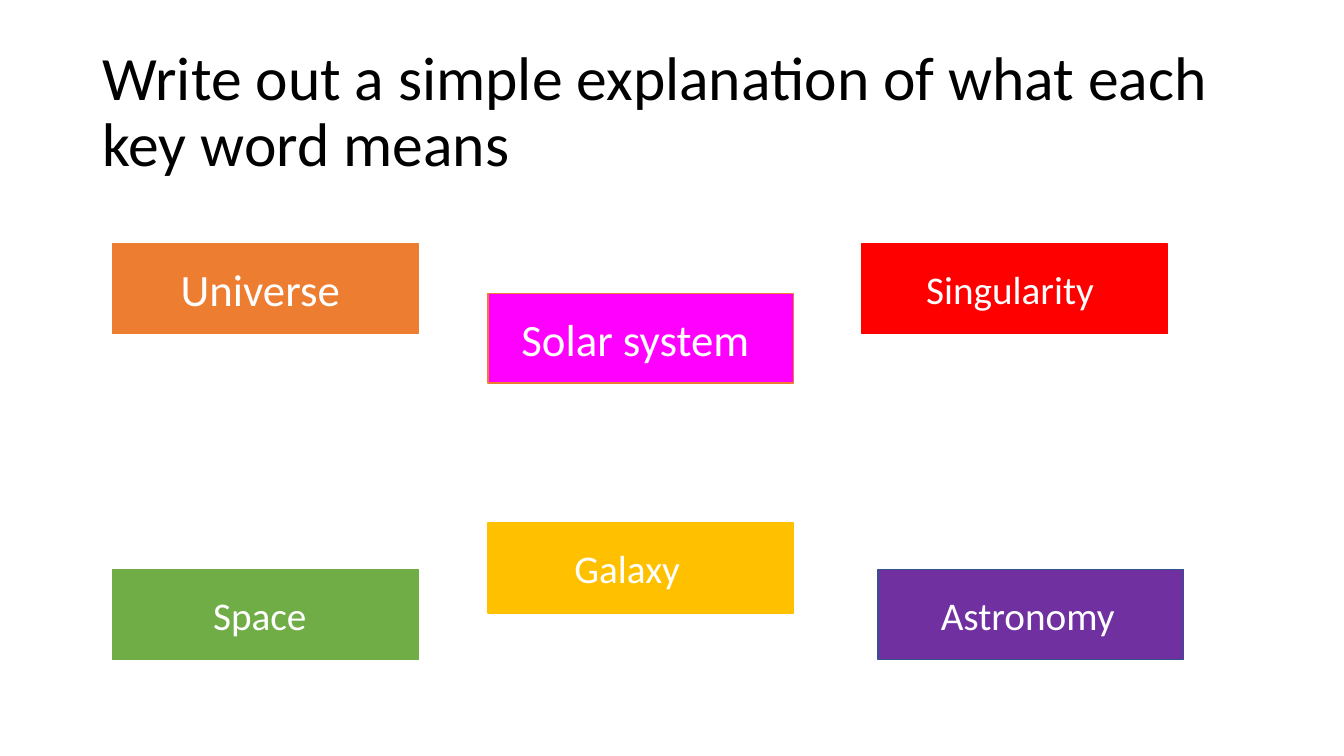
"""Builds a slide of six astronomy key words for pupils to explain."""
from pptx import Presentation
from pptx.dml.color import RGBColor
from pptx.enum.shapes import MSO_SHAPE
from pptx.enum.text import MSO_ANCHOR, MSO_AUTO_SIZE, PP_ALIGN
from pptx.util import Pt

BLACK = RGBColor(0x00, 0x00, 0x00)
WHITE = RGBColor(0xFF, 0xFF, 0xFF)
ORANGE = RGBColor(0xED, 0x7D, 0x31)
GREEN = RGBColor(0x70, 0xAD, 0x47)
GOLD = RGBColor(0xFF, 0xC0, 0x00)
RED = RGBColor(0xFF, 0x00, 0x00)
PURPLE = RGBColor(0x70, 0x30, 0xA0)
NAVY = RGBColor(0x31, 0x53, 0x8F)
MAGENTA = RGBColor(0xFF, 0x00, 0xFF)


def set_text(sp, text, size, color, align, spacing=1.0, right=7.2):
    tf = sp.text_frame
    tf.word_wrap = True
    tf.auto_size = MSO_AUTO_SIZE.NONE
    tf.vertical_anchor = MSO_ANCHOR.MIDDLE
    tf.margin_left, tf.margin_right = Pt(7.2), Pt(right)
    tf.margin_top = tf.margin_bottom = Pt(3.6)
    p = tf.paragraphs[0]
    p.alignment = align
    p.line_spacing = spacing
    r = p.add_run()
    r.text = text
    r.font.name = "Calibri"
    r.font.size = Pt(size)
    r.font.color.rgb = color


prs = Presentation()
prs.slide_width, prs.slide_height = Pt(960), Pt(540)
s = prs.slides.add_slide(prs.slide_layouts[5])

title = s.shapes.title
title.left, title.top, title.width, title.height = Pt(66), Pt(28.8), Pt(828), Pt(104.4)
set_text(title, "Write out a simple explanation of what each key word means",
         44, BLACK, PP_ALIGN.LEFT, spacing=0.9)

LEFT, MIDDLE, RIGHT = 80.6, 348.5, 615.6
key_words = [
    ("Universe", LEFT, 174.2, 32, ORANGE, ORANGE, 14.4),
    ("Space", LEFT, 406.8, 28, GREEN, GREEN, 15.3),
    ("Galaxy", MIDDLE, 373.7, 28, GOLD, GOLD, 26.2),
    ("Singularity", RIGHT, 174.2, 28, RED, RED, 13.5),
    ("Astronomy", 627.1, 406.8, 28, PURPLE, NAVY, 11.3),
    ("Solar system", MIDDLE, 209.5, 32, MAGENTA, ORANGE, 14.4),
]
for word, x, y, size, fill, line, right in key_words:
    sp = s.shapes.add_shape(MSO_SHAPE.RECTANGLE, Pt(x), Pt(y), Pt(218.2), Pt(64.1))
    sp.shadow.inherit = False
    sp.fill.solid()
    sp.fill.fore_color.rgb = fill
    sp.line.color.rgb = line
    sp.line.width = Pt(1)
    set_text(sp, word, size, WHITE, PP_ALIGN.CENTER, right=right)

prs.save("out.pptx")
